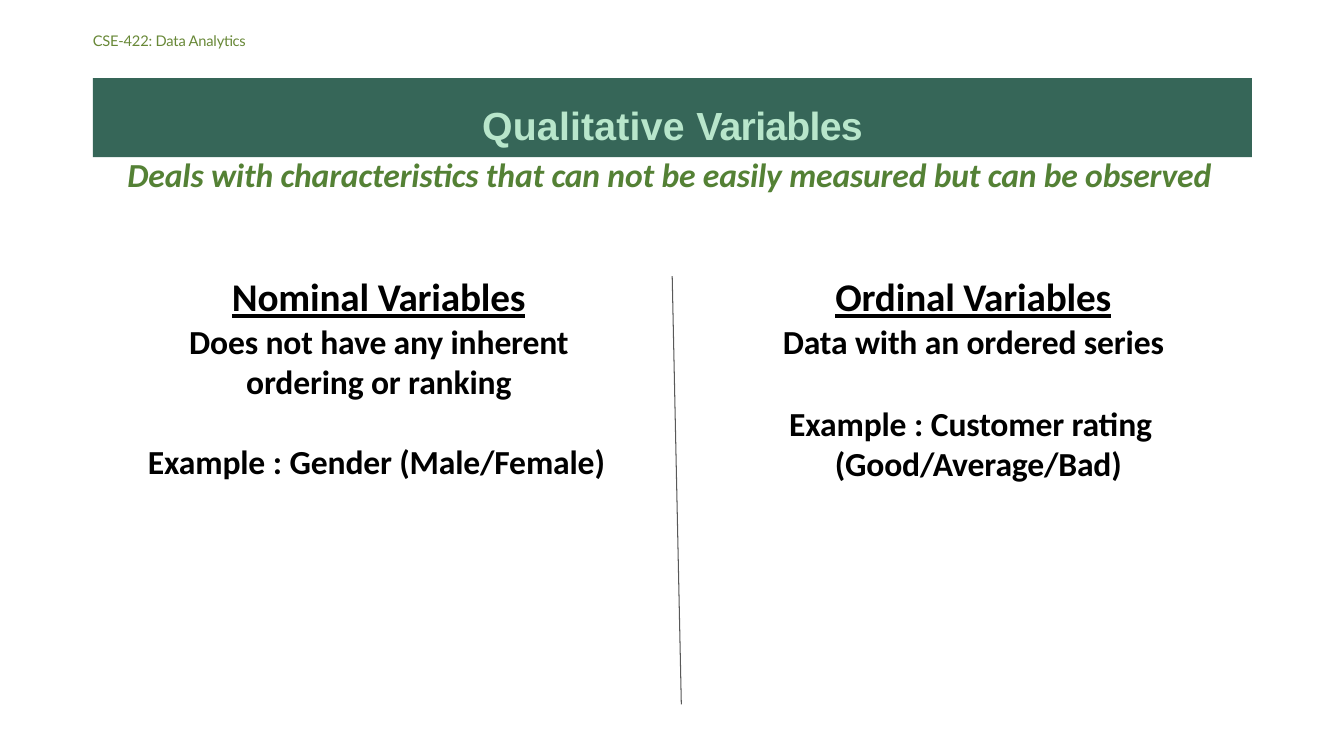
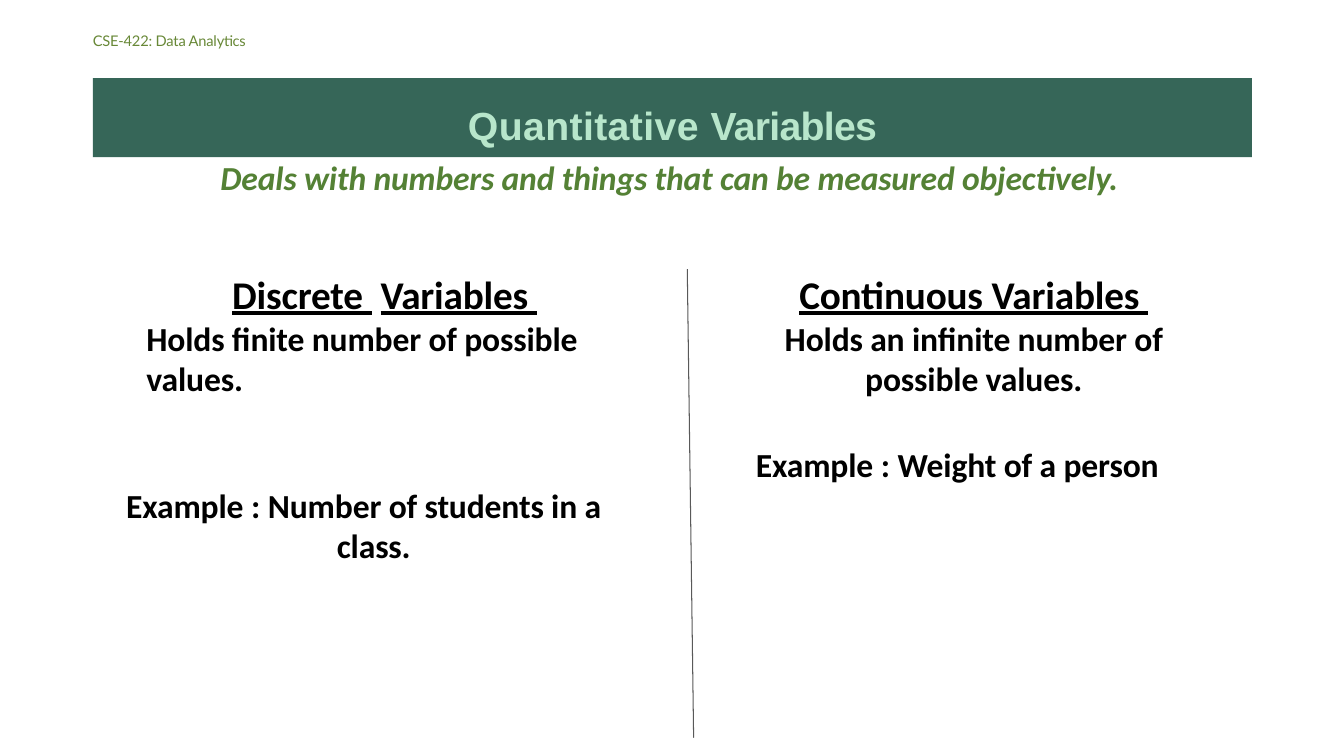
from pptx import Presentation
from pptx.dml.color import RGBColor
from pptx.enum.shapes import MSO_CONNECTOR, MSO_SHAPE
from pptx.enum.text import MSO_ANCHOR, PP_ALIGN
from pptx.oxml.ns import qn
from pptx.util import Cm, Pt
from lxml import etree

LEFT, CENTER = PP_ALIGN.LEFT, PP_ALIGN.CENTER
TOP = MSO_ANCHOR.TOP
RECTANGLE = MSO_SHAPE.RECTANGLE
STRAIGHT = MSO_CONNECTOR.STRAIGHT


def color(value):
    return RGBColor.from_string(value)


def write(paragraph, runs, font="Calibri", size=24, fill="000000", bold=True,
          italic=False, underline=False, align=LEFT, line=None, before=0,
          margin=0, indent=0):
    properties = paragraph._p.get_or_add_pPr()
    properties.set("marL", str(Cm(margin)))
    properties.set("indent", str(Cm(indent)))
    paragraph.alignment = align
    paragraph.space_before = Pt(before)
    if line:
        paragraph.line_spacing = Pt(line)
    if isinstance(runs, str):
        runs = [(runs, -0.1)]
    for text, spacing in runs:
        run = paragraph.add_run()
        run.text = text
        run.font.name = font
        run.font.size = Pt(size)
        run.font.bold = bold
        run.font.italic = italic
        run.font.underline = underline
        run.font.color.rgb = color(fill)
        run._r.get_or_add_rPr().set("spc", str(round(spacing * 100)))


class Deck:
    BAND = "366658"
    TITLE = "B8E6CB"
    SUBTITLE = "548135"
    COURSE = "688837"
    DIVIDER = "595959"
    EDGE, CONTENT_WIDTH = 2.34, 29.21
    BODY_LINE = 28.5

    def __init__(self):
        self.presentation = Presentation()
        self.presentation.slide_width = Cm(33.87)
        self.presentation.slide_height = Cm(19.05)
        self.slide = None

    def frame(self, shape, inset=0):
        frame = shape.text_frame
        frame.word_wrap = True
        frame.vertical_anchor = TOP
        frame.margin_left = frame.margin_right = frame.margin_bottom = 0
        frame.margin_top = Cm(inset)
        return frame

    def text_box(self, left, top, width, height):
        shape = self.slide.shapes.add_textbox(
            Cm(left), Cm(top), Cm(width), Cm(height))
        return self.frame(shape)

    def text(self, left, top, width, height, runs, **style):
        frame = self.text_box(left, top, width, height)
        write(frame.paragraphs[0], runs, **style)

    def start(self, title, subtitle, subtitle_top):
        layout = self.presentation.slide_layouts[6]
        self.slide = self.presentation.slides.add_slide(layout)
        self.text(self.EDGE, 0.8, 6, 0.5, "CSE-422: Data Analytics",
                  font="Lato", size=10.5, fill=self.COURSE, bold=False)
        self.band(title)
        self.text(self.EDGE, subtitle_top, 29.05, 1.05, subtitle,
                  fill=self.SUBTITLE, italic=True, align=CENTER)

    def band(self, runs):
        band = self.slide.shapes.add_shape(
            RECTANGLE, Cm(self.EDGE), Cm(1.97), Cm(self.CONTENT_WIDTH), Cm(1.99))
        band.shadow.inherit = False
        band.fill.solid()
        band.fill.fore_color.rgb = color(self.BAND)
        band.line.fill.background()
        write(self.frame(band, 0.58).paragraphs[0], runs, font="Arial",
              size=28, fill=self.TITLE, align=CENTER)

    def definition(self, left, top, width, heading, body, align=CENTER, indent=0):
        frame = self.text_box(left, top, width, 3.3)
        write(frame.paragraphs[0], heading, size=28, underline=True,
              align=align, indent=indent)
        write(frame.add_paragraph(), body, align=align,
              line=self.BODY_LINE, before=1)

    def example(self, left, top, width, text, hanging=0):
        self.text(left, top, width, 2.1,
                  [("Example ", -0.1), (": ", 0), (text, -0.1)],
                  line=self.BODY_LINE, margin=hanging, indent=-hanging)

    def divider(self, x1, y1, x2, y2):
        line = self.slide.shapes.add_connector(
            STRAIGHT, Cm(x1), Cm(y1), Cm(x2), Cm(y2))
        line.line.color.rgb = color(self.DIVIDER)
        line.line.width = Pt(0.75)
        etree.SubElement(line._element.spPr, qn("a:effectLst"))


def main():
    deck = Deck()

    deck.start([("Qualitative ", 0.2), ("Variables", -0.5)],
               "Deals with characteristics that can not be easily measured "
               "but can be observed", 3.87)
    deck.definition(4.67, 6.87, 9.75, "Nominal Variables",
                    "Does not have any inherent ordering or ranking")
    deck.example(3.73, 11.11, 12, "Gender (Male/Female)")
    deck.definition(19.63, 6.87, 9.8, "Ordinal Variables",
                    "Data with an ordered series")
    deck.example(19.89, 10.16, 9.35, "Customer rating (Good/Average/Bad)",
                 hanging=1.15)
    deck.divider(16.94, 6.96, 17.17, 17.75)

    deck.start([("Quantitative ", 0.3), ("Variables", -0.5)],
               "Deals with numbers and things that can be measured objectively.",
               3.95)
    deck.definition(3.69, 6.81, 11.79,
                    [("Discrete", -0.1), (" ", 6.2), ("Variables ", -0.1)],
                    "Holds finite number of possible values.",
                    align=LEFT, indent=2.16)
    deck.example(3.18, 12.23, 12.7, "Number of students in a class.",
                 hanging=5.31)
    deck.definition(19.69, 6.81, 9.7, "Continuous Variables ",
                    "Holds an infinite number of possible values.")
    deck.example(19.05, 11.19, 11, "Weight of a person")
    deck.divider(17.32, 6.78, 17.48, 18.59)

    deck.presentation.save("out.pptx")


if __name__ == "__main__":
    main()
